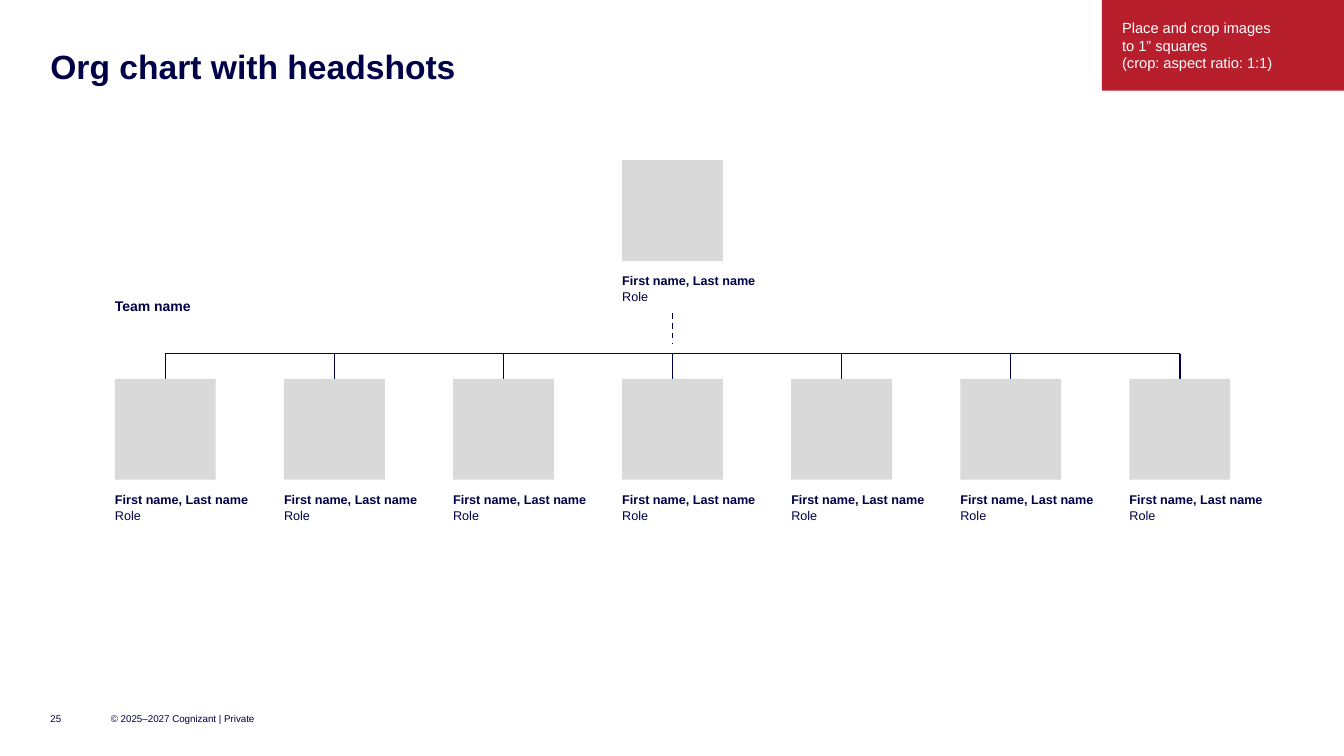
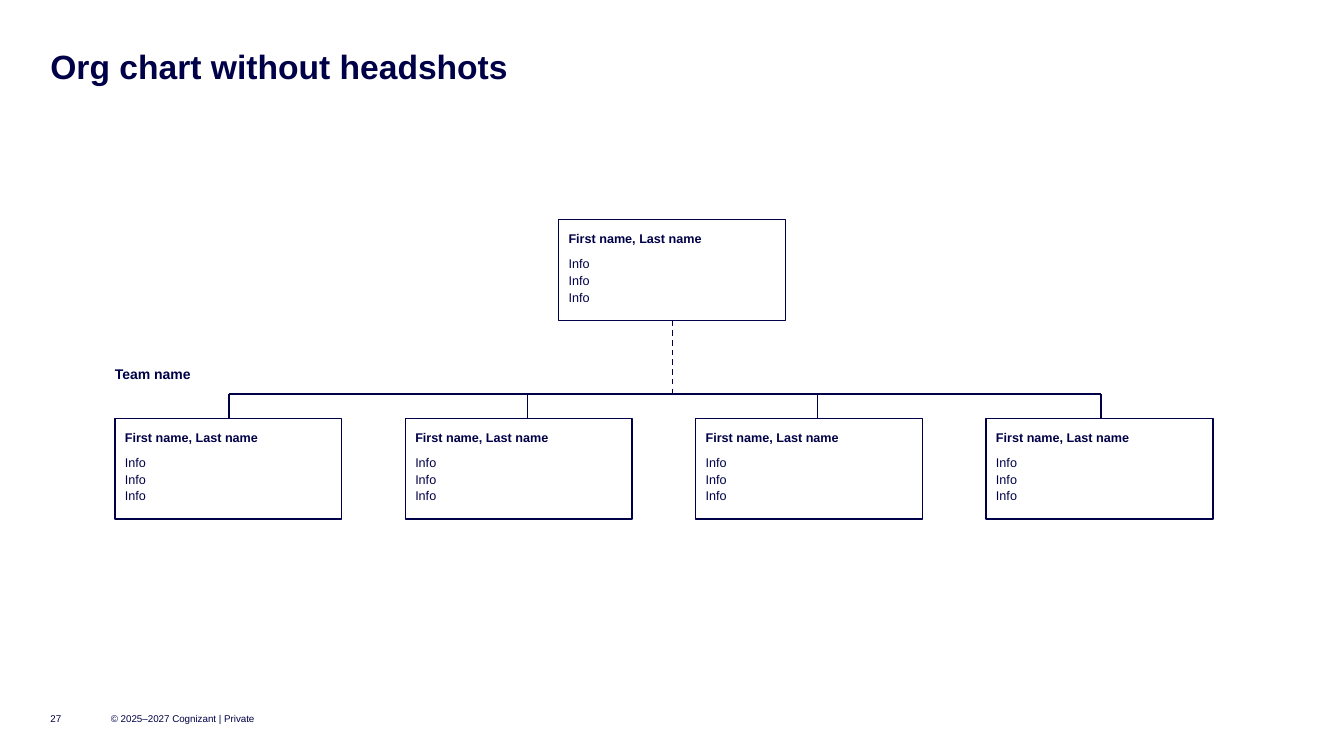
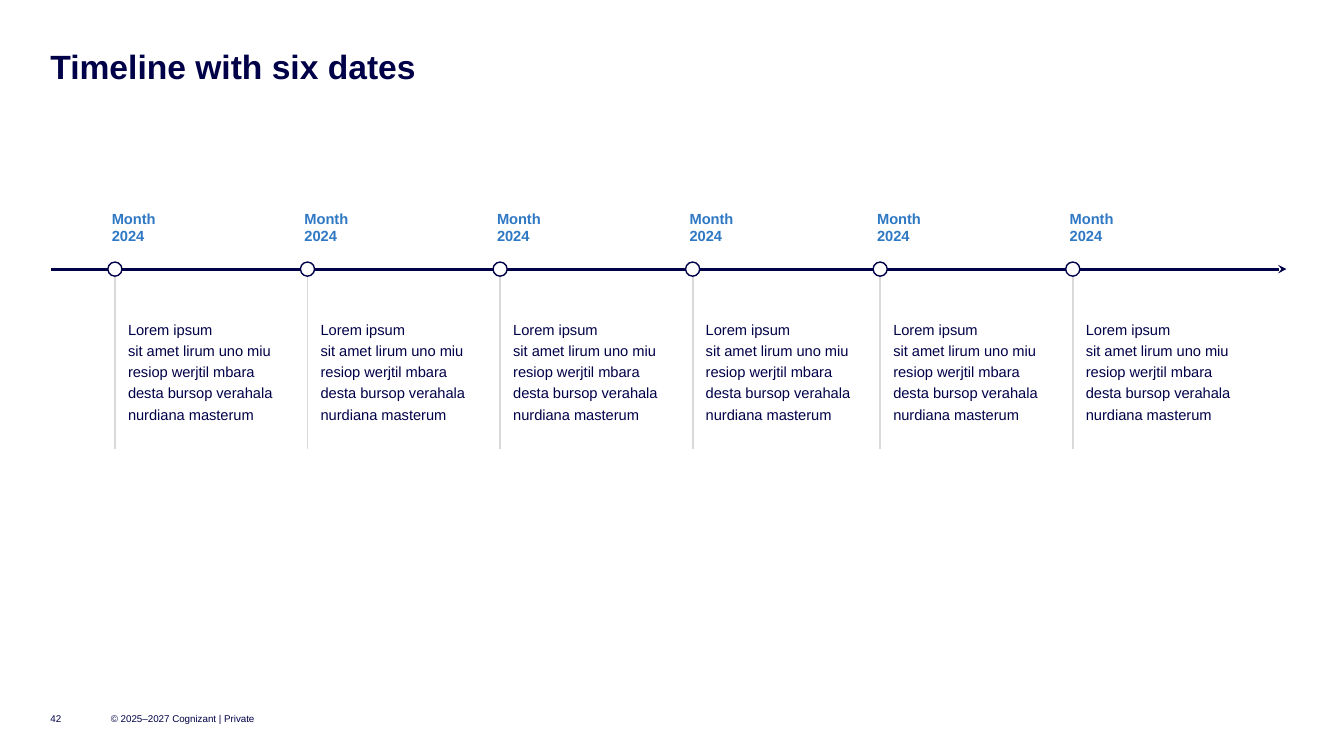
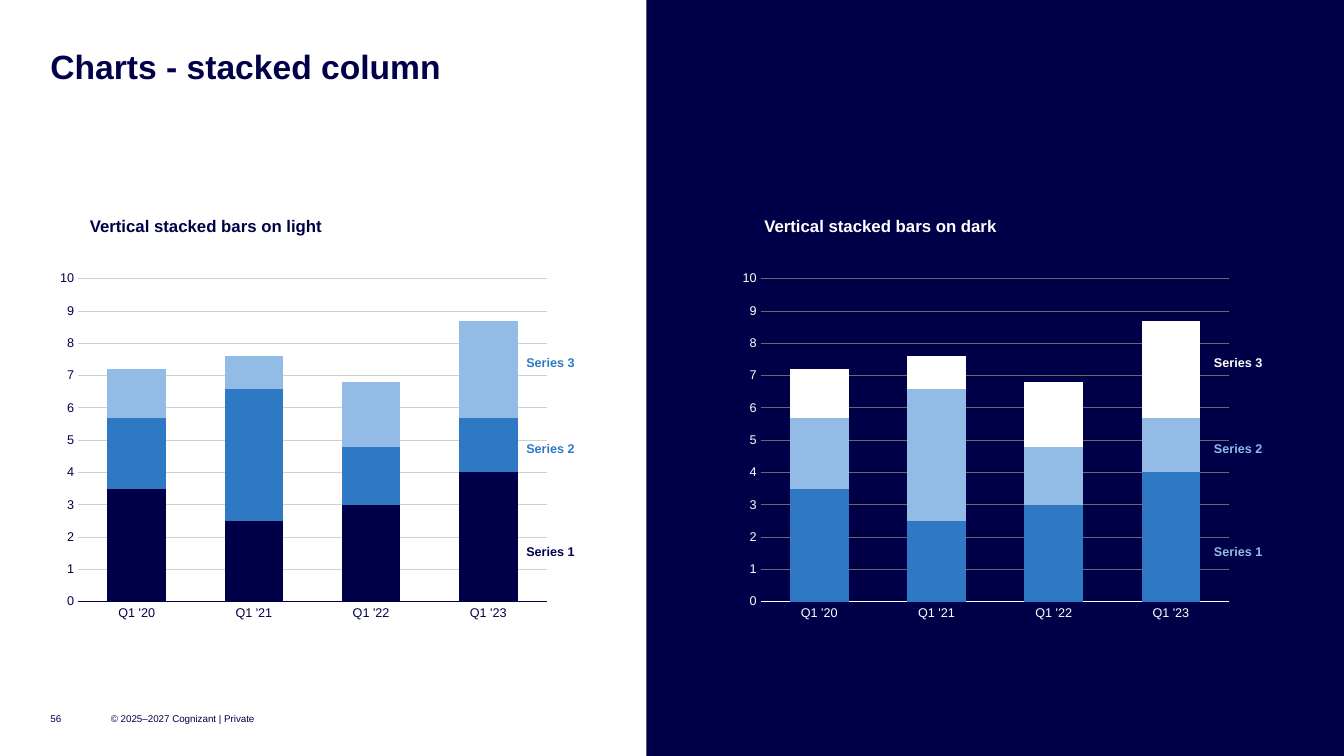
from pptx import Presentation
from pptx.chart.data import CategoryChartData as ChartData
from pptx.dml.color import RGBColor as RGB
from pptx.enum.chart import XL_CHART_TYPE as Kind, XL_TICK_MARK as Tick
from pptx.enum.dml import MSO_LINE as Dash
from pptx.enum.shapes import MSO_CONNECTOR as Conn, MSO_SHAPE as Shape
from pptx.enum.text import MSO_ANCHOR as Anchor, PP_ALIGN as Align
from pptx.oxml import parse_xml
from pptx.oxml.ns import nsdecls
from pptx.util import Inches, Pt

NAVY = RGB(0x00, 0x00, 0x48)
BLUE = RGB(0x2F, 0x78, 0xC4)
SKY = RGB(0x92, 0xBB, 0xE6)
RED = RGB(0xB8, 0x1F, 0x2D)
GRAY = RGB(0xD9, 0xD9, 0xD9)
WHITE = RGB(0xFF, 0xFF, 0xFF)
LIGHT_GRID = RGB(0xD0, 0xD0, 0xCE)
DARK_GRID = RGB(0x6A, 0x6A, 0x65)

FONT = "Arial"
LEFT = 1.14  # left edge of the diagrams
MID = 6.67   # centre of the page
PHOTO = 1
CARD_W, CARD_H = 2.25, 1

NAME = "First name, Last name"
LOREM = ("Lorem ipsum\nsit amet lirum uno miu resiop werjtil mbara "
         "desta bursop verahala nurdiana masterum")


# Basic elements
def write(frame, lines, size, color, bold=False, space=None, inset=(0, 0),
          anchor=Anchor.TOP, wrap=True):
    """Fill a frame; each line is a text or a (text, bold, space before)."""
    frame.word_wrap = wrap
    frame.vertical_anchor = anchor
    frame.margin_left = frame.margin_right = Inches(inset[0])
    frame.margin_top = frame.margin_bottom = Inches(inset[1])
    for i, line in enumerate(lines):
        text, heavy, before = (line, bold, 0) if isinstance(line, str) else line
        para = frame.paragraphs[0] if i == 0 else frame.add_paragraph()
        para.text = text
        para.alignment = Align.LEFT
        para.line_spacing = space
        if before:
            para.space_before = Pt(before)
        style(para.font, size, color, heavy)


def style(font, size, color, bold=False):
    font.name, font.size, font.bold = FONT, Pt(size), bold
    font.color.rgb = color


def label(slide, x, y, w, h, lines, size, color=NAVY, **look):
    box = slide.shapes.add_textbox(Inches(x), Inches(y), Inches(w), Inches(h))
    write(box.text_frame, lines, size, color, **look)


def block(slide, x, y, w, h, fill=None, line=None, kind=Shape.RECTANGLE):
    shape = slide.shapes.add_shape(kind, Inches(x), Inches(y),
                                   Inches(w), Inches(h))
    shape.shadow.inherit = False
    if fill is None:
        shape.fill.background()
    else:
        shape.fill.solid()
        shape.fill.fore_color.rgb = fill
    if line is None:
        shape.line.fill.background()
    else:
        shape.line.color.rgb = line
        shape.line.width = Pt(1)
    return shape


def rule(slide, x1, y1, x2, y2, color=NAVY, width=1, dash=False, arrow=False):
    link = slide.shapes.add_connector(Conn.STRAIGHT, Inches(x1), Inches(y1),
                                      Inches(x2), Inches(y2))
    link.line.color.rgb = color
    link.line.width = Pt(width)
    if dash:
        link.line.dash_style = Dash.DASH
    if arrow:
        link.line._get_or_add_ln().append(
            parse_xml(f'<a:tailEnd {nsdecls("a")} type="stealth"/>'))
    link._element.spPr.append(parse_xml(f'<a:effectLst {nsdecls("a")}/>'))


# Shared page: title, page number, copyright line
def page(deck, title, number):
    slide = deck.slides.add_slide(deck.slide_layouts[6])
    label(slide, 0.5, 0.5, 12.33, 0.36, [title], 24, bold=True, space=0.9)
    label(slide, 0.5, 7, 0.4, 0.25, [str(number)], 7, anchor=Anchor.MIDDLE)
    label(slide, 1.1, 7, 1.5, 0.25, ["© 2025–2027 Cognizant | Private"], 7,
          anchor=Anchor.MIDDLE)
    return slide


# Org chart parts
def person(slide, x, y):
    block(slide, x, y, PHOTO, PHOTO, GRAY)
    label(slide, x, y + 1.1, 1.41, 0.32, [(NAME, True, 0), "Role"], 9,
          space=1.1)


def card(slide, x, y):
    box = block(slide, x, y, CARD_W, CARD_H, line=NAVY)
    lines = [(NAME, True, 0), ("Info", False, 6), "Info", "Info"]
    write(box.text_frame, lines, 9, NAVY, space=1.1, inset=(0.1, 0.1))


def comb(slide, xs, top, foot):
    rule(slide, xs[0], top, xs[-1], top)
    for x in xs:
        rule(slide, x, top, x, foot)


def team(slide, y):
    label(slide, LEFT, y, 1.4, 0.17, ["Team name"], 10, bold=True)


# Timeline part
def stop(slide, x, axis):
    rule(slide, x, axis, x, 4.45, GRAY, 1.25)
    block(slide, x - 0.07, axis - 0.07, 0.14, 0.14, WHITE, NAVY, Shape.OVAL)
    label(slide, x - 0.03, 2.08, 0.44, 0.35, ["Month\n2024"], 10.5, BLUE,
          bold=True, wrap=False)
    label(slide, x + 0.13, 3.15, 1.5, 1.04, [LOREM], 10.5, space=1.2)


# Chart part
def bars(slide, x, ink, grid, fills):
    data = ChartData()
    data.categories = ["Q1 '20", "Q1 '21", "Q1 '22", "Q1 '23"]
    data.add_series("Series 1", (3.5, 2.5, 3, 4))
    data.add_series("Series 2", (2.2, 4.1, 1.8, 1.7))
    data.add_series("Series 3", (1.5, 1, 2, 3))
    chart = slide.shapes.add_chart(Kind.COLUMN_STACKED, Inches(x), Inches(2.63),
                                   Inches(5), Inches(3.6), data).chart
    chart.has_legend = chart.has_title = False
    style(chart.font, 10, NAVY)

    plot = chart.plots[0]
    plot.gap_width, plot.overlap = 100, 100
    plot.vary_by_categories = False
    for series, fill in zip(plot.series, fills):
        series.format.fill.solid()
        series.format.fill.fore_color.rgb = fill

    cats, vals = chart.category_axis, chart.value_axis
    for axis in (cats, vals):
        axis.major_tick_mark = axis.minor_tick_mark = Tick.NONE
        style(axis.tick_labels.font, 9, ink)
    vals.minimum_scale, vals.maximum_scale, vals.major_unit = 0, 10, 1
    vals.format.line.fill.background()
    for line, color in ((cats.format.line, ink),
                        (vals.major_gridlines.format.line, grid)):
        line.color.rgb = color
        line.width = Pt(0.75)

    # Fixed inner plot area
    area = chart._chartSpace.chart.plotArea
    for old in area.findall("{*}layout"):
        area.remove(old)
    spots = "".join(f'<c:{tag} val="{val}"/>' for tag, val in (
        ("layoutTarget", "inner"), ("xMode", "edge"), ("yMode", "edge"),
        ("x", 0.055), ("y", 0.038), ("w", 0.93), ("h", 0.89)))
    area.insert(0, parse_xml(f'<c:layout {nsdecls("c")}><c:manualLayout>'
                             f'{spots}</c:manualLayout></c:layout>'))


def panel(slide, x, head_x, key_x, tone, ink, grid, fills, keys):
    label(slide, head_x, 2.14, 2.58, 0.2, [f"Vertical stacked bars on {tone}"],
          12, ink, bold=True)
    bars(slide, x, ink, grid, fills)
    for i, (y, color) in enumerate(zip((5.4, 4.37, 3.52), keys), 1):
        label(slide, key_x, y, 0.71, 0.15, [f"Series {i}"], 9, color, bold=True)


# Slides
def photos(deck):
    slide = page(deck, "Org chart with headshots", 25)
    note = block(slide, 10.93, 0, 2.4, 0.9, RED)
    write(note.text_frame, ["Place and crop images\nto 1” squares\n"
                            "(crop: aspect ratio: 1:1)"], 10.5, WHITE,
          inset=(0.2, 0.1), anchor=Anchor.MIDDLE)
    xs = [LEFT + 1.677 * i for i in range(7)]
    comb(slide, [x + PHOTO / 2 for x in xs], 3.51, 3.76)
    rule(slide, MID, 3.11, MID, 3.41, dash=True)
    team(slide, 2.95)
    person(slide, xs[3], 1.59)
    for x in xs:
        person(slide, x, 3.76)


def cards(deck):
    slide = page(deck, "Org chart without headshots", 27)
    rule(slide, MID, 3.18, MID, 3.9, dash=True)
    comb(slide, (2.27, 5.23, 8.11, 10.92), 3.91, 4.15)
    team(slide, 3.63)
    card(slide, 5.54, 2.18)
    for i in range(4):
        card(slide, LEFT + 2.88 * i, 4.15)


def dates(deck):
    slide = page(deck, "Timeline with six dates", 42)
    axis = 2.67
    rule(slide, 0.51, axis, 12.76, axis, NAVY, 2, arrow=True)
    for x in (1.14, 3.05, 4.96, 6.87, 8.73, 10.64):
        stop(slide, x, axis)


def charts(deck):
    slide = page(deck, "Charts - stacked column", 56)
    block(slide, 6.41, 0, 6.92, 7.5, NAVY)
    panel(slide, 0.5, 0.89, 5.22, "light", NAVY, LIGHT_GRID,
          (NAVY, BLUE, SKY), (NAVY, BLUE, BLUE))
    panel(slide, 7.27, 7.58, 12.04, "dark", WHITE, DARK_GRID,
          (BLUE, SKY, WHITE), (SKY, SKY, WHITE))


def main():
    deck = Presentation()
    deck.slide_width, deck.slide_height = Inches(13.33), Inches(7.5)
    for build in (photos, cards, dates, charts):
        build(deck)
    deck.save("out.pptx")


if __name__ == "__main__":
    main()
